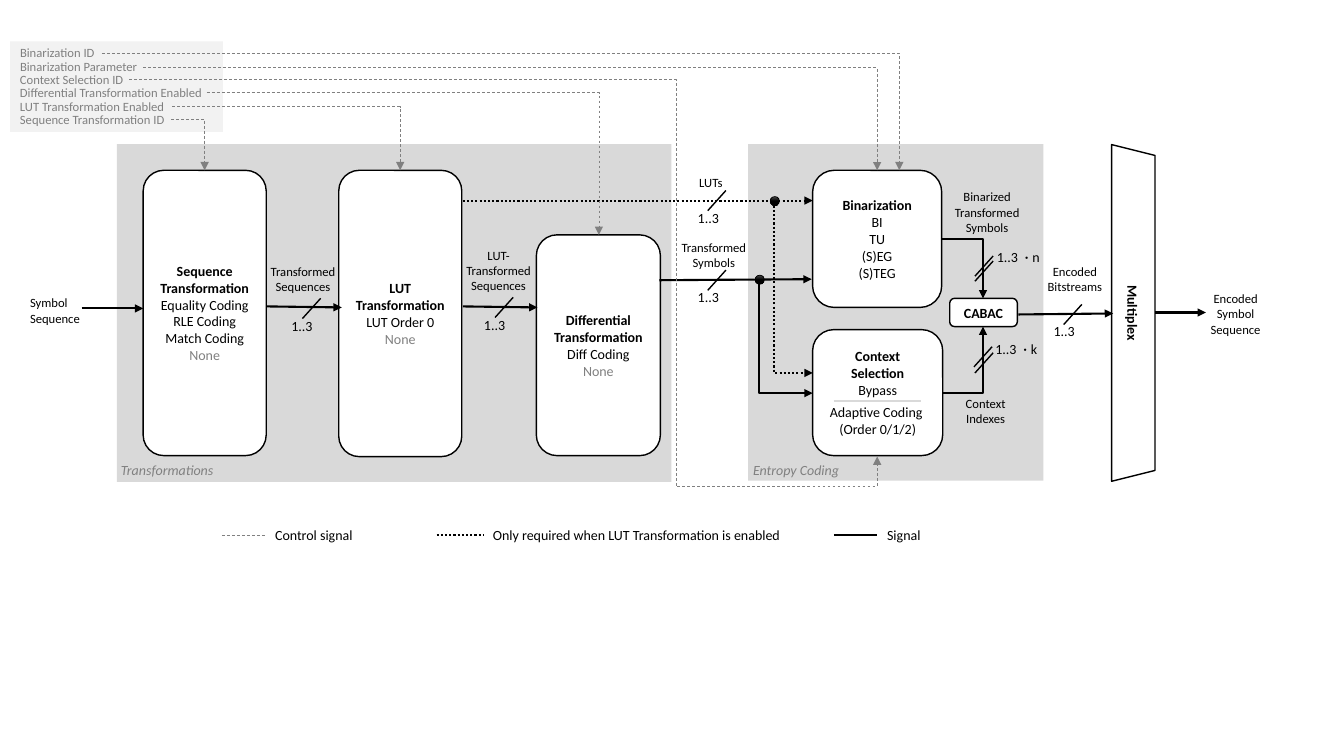
from pptx import Presentation
from pptx.dml.color import RGBColor
from pptx.enum.dml import MSO_LINE
from pptx.enum.shapes import MSO_CONNECTOR, MSO_SHAPE
from pptx.enum.text import MSO_ANCHOR, PP_ALIGN
from pptx.oxml.ns import qn
from pptx.util import Inches, Pt
from lxml import etree

RECT, ROUND = MSO_SHAPE.RECTANGLE, MSO_SHAPE.ROUNDED_RECTANGLE
TRAP, OVAL = MSO_SHAPE.TRAPEZOID, MSO_SHAPE.OVAL
LINE, ELBOW = MSO_CONNECTOR.STRAIGHT, MSO_CONNECTOR.ELBOW
DASH, DOTS = MSO_LINE.DASH, MSO_LINE.ROUND_DOT
LEFT, MID = PP_ALIGN.LEFT, PP_ALIGN.CENTER
MIDDLE, TOP = MSO_ANCHOR.MIDDLE, MSO_ANCHOR.TOP

THEME = {
    "font": "Calibri", "ink": "000000", "mute": "808080", "white": "FFFFFF",
    "zone": "D9D9D9", "pale": "F2F2F2", "shine": "4B4B4B",
    "body": 10, "small": 9, "tiny": 8,
}
# Wire styles: colour, width, dash, arrow
STYLES = {
    "signal": ("ink", 1.5, None, True),
    "lut": ("ink", 1.5, DOTS, True),
    "control": ("mute", 0.5, DASH, True),
    "slash": ("ink", 1, None, False),
    "rule": ("zone", 1, None, False),
}
TIMES = "\u30fb"

# Zones: box, colour
ZONES = [
    ((0.1, 0.41, 2.11, 0.9), "pale"),
    ((1.16, 1.43, 5.5, 3.35), "zone"),
    ((7.42, 1.43, 2.93, 3.34), "zone"),
]
# Blocks: box, bold lines, plain lines
BLOCKS = [
    ((1.42, 1.69, 1.22, 2.83), ["Sequence", "Transformation"],
     ["Equality Coding", "RLE Coding", "Match Coding", "None"]),
    ((3.36, 1.69, 1.22, 2.84), ["LUT", "Transformation"],
     ["LUT Order 0", "None"]),
    ((5.32, 2.33, 1.23, 2.19), ["Differential", "Transformation"],
     ["Diff Coding", "None"]),
    ((8.06, 1.69, 1.28, 1.36), ["Binarization"],
     ["BI", "TU", "(S)EG", "(S)TEG"]),
    ((8.06, 3.27, 1.29, 1.25), ["Context", "Selection"],
     ["Bypass", "Adaptive Coding\u00a0", "(Order 0/1/2)"]),
    ((9.42, 2.96, 0.67, 0.28), ["CABAC"], []),
]
MUX = (9.57, 2.89, 3.34, 0.43)
# Centred labels: left, top, width, text
LABELS = [
    (2.58, 2.57, 0.85, "Transformed\nSequences"),
    (4.51, 2.41, 0.87, "LUT-\nTransformed\nSequences"),
    (6.61, 2.33, 0.94, "Transformed\nSymbols"),
    (6.71, 1.69, 0.68, "LUTs"),
    (9.27, 1.83, 1.04, "Binarized\nTransformed\nSymbols"),
    (9.38, 3.88, 0.79, "Context\nIndexes"),
    (10.25, 2.57, 0.82, "Encoded\nBitstreams"),
    (11.89, 2.84, 0.73, "Encoded\nSymbol\nSequence"),
]
COUNTS = [
    (2.75, 3.1, 0.49, "1..3"), (4.66, 3.09, 0.49, "1..3"),
    (6.78, 2.03, 0.49, "1..3"), (6.78, 2.81, 0.49, "1..3"),
    (10.31, 3.15, 0.49, "1..3"),
    (9.75, 2.42, 0.7, f"1..3 {TIMES}n"), (9.73, 3.33, 0.7, f"1..3 {TIMES}k"),
]
# Control inputs, one row each: text, width
INPUTS = [
    ("Binarization ID", 1.09), ("Binarization Parameter", 1.51),
    ("Context Selection ID", 1.43),
    ("Differential Transformation Enabled", 2.03),
    ("LUT Transformation Enabled", 1.87),
    ("Sequence Transformation ID", 1.87),
]
NAMES = [(1.1, 4.53, 1.15, "Transformations"),
         (7.37, 4.53, 1.29, "Entropy Coding")]
# Legend: line start, line end, style, text width, text
LEGEND = [
    (2.2, 2.63, "control", 0.98, "Control signal"),
    (4.33, 4.79, "lut", 3.1, "Only required when LUT Transformation is enabled"),
    (8.27, 8.7, "signal", 0.81, "Signal"),
]
# Wires: start, end, style, bend
WIRES = [
    ((0.81, 3.06), (1.42, 3.06), "signal", None),
    ((2.65, 3.04), (3.39, 3.05), "signal", None),
    ((4.59, 3.04), (5.33, 3.05), "signal", None),
    ((6.54, 2.78), (8.05, 2.77), "signal", None),
    ((10.1, 3.12), (11.04, 3.11), "signal", None),
    ((11.46, 3.1), (11.96, 3.1), "signal", None),
    ((4.59, 1.99), (8.06, 1.99), "lut", None),
    ((7.53, 2.81), (8.06, 3.9), "signal", "down"),
    ((7.68, 2.04), (8.06, 3.7), "lut", "down"),
    ((9.34, 2.37), (9.75, 2.96), "signal", "across"),
    ((9.35, 3.9), (9.75, 3.24), "signal", "across"),
    ((1.01, 0.53), (8.92, 1.69), "control", "across"),
    ((1.42, 0.67), (8.7, 1.69), "control", "across"),
    ((1.28, 0.79), (8.7, 4.53), "control", "loop"),
    ((2.05, 0.92), (5.94, 2.33), "control", "across"),
    ((1.71, 1.06), (3.97, 1.69), "control", "across"),
    ((1.7, 1.18), (2.03, 1.69), "control", "across"),
    ((8.27, 3.98), (9.13, 3.98), "rule", None),
]
LOOP = {"adj1": 73100, "adj2": 107900}
# Lower left ends of the slashes
TICKS = [(3, 3.16), (4.91, 3.15), (7.02, 2.09), (7.02, 2.88), (10.55, 3.22),
         (9.67, 2.74), (9.67, 2.79), (9.66, 3.64), (9.67, 3.7)]
DOT = 0.09
NODES = [(7.49, 2.73), (7.64, 1.95)]


def tint(name):
    """Return a theme colour."""
    return RGBColor.from_string(THEME[name])


def write(frame, lines, size="body", color="ink", heads=0, italic=False,
          align=MID, anchor=TOP, wrap=True):
    """Fill a frame, one paragraph a line; the first heads are bold."""
    frame.word_wrap, frame.vertical_anchor = wrap, anchor
    for i, line in enumerate(lines):
        para = frame.paragraphs[0] if i == 0 else frame.add_paragraph()
        para.alignment = align
        if line.startswith("Adaptive"):
            para.space_before = Pt(4)
        for part in filter(None, line.partition(TIMES)):
            run = para.add_run()
            run.text = part
            font = run.font
            font.name = THEME["font"]
            font.size = Pt(THEME["tiny" if part == TIMES else size])
            font.bold, font.italic = i < heads, italic
            font.color.rgb = tint("mute" if part == "None" else color)


def label(x, y, w, text, **form):
    """Add a text box as high as its lines."""
    lines = text.split("\n")
    high = 0.1 + len(lines) * THEME[form.get("size", "body")] * 1.22 / 72
    box = slide.shapes.add_textbox(*map(Inches, (x, y, w, high)))
    write(box.text_frame, lines, **form)


def block(kind, box, fill, edge=None):
    """Add a shape with a plain fill and, if edge is set, a black line."""
    shape = slide.shapes.add_shape(kind, *map(Inches, box))
    shape.shadow.inherit = False
    shape.fill.solid()
    shape.fill.fore_color.rgb = tint(fill)
    if edge:
        shape.line.color.rgb, shape.line.width = tint("ink"), Pt(edge)
    else:
        shape.line.fill.background()
    return shape


def wire(start, end, style, bend=None, arrow=None):
    """Add a straight or bent line in one of the styles."""
    color, width, dash, tip = STYLES[style]
    (x1, y1), (x2, y2) = start, end
    if bend == "down":  # a quarter turn about the centre
        cx, cy, dx, dy = (x1 + x2) / 2, (y1 + y2) / 2, x2 - x1, y2 - y1
        x1, y1, x2, y2 = cx + dy / 2, cy - dx / 2, cx - dy / 2, cy + dx / 2
    line = slide.shapes.add_connector(
        ELBOW if bend else LINE, *map(Inches, (x1, y1, x2, y2)))
    line.line.color.rgb, line.line.width = tint(color), Pt(width)
    if dash:
        line.line.dash_style = dash
    props = line._element.spPr
    if bend:
        geom = props.find(qn("a:prstGeom"))
        geom.set("prst", "bentConnector4" if bend == "loop" else "bentConnector2")
    if bend == "down":
        props.find(qn("a:xfrm")).set("rot", "16200000")
    if bend == "loop":
        for name, value in LOOP.items():
            etree.SubElement(geom.find(qn("a:avLst")), qn("a:gd"),
                             name=name, fmla=f"val {value}")
    if tip if arrow is None else arrow:
        etree.SubElement(props.find(qn("a:ln")), qn("a:tailEnd"), type="triangle")
    etree.SubElement(props, qn("a:effectLst"))


deck = Presentation()
deck.slide_width, deck.slide_height = Inches(13.33), Inches(7.5)
slide = deck.slides.add_slide(deck.slide_layouts[6])

for box, fill in ZONES:
    block(RECT, box, fill)
mux = block(TRAP, MUX, "white", edge=1)
mux.rotation = 90
write(mux.text_frame, ["Multiplex"], heads=1, anchor=MIDDLE)
for box, heads, plain in BLOCKS:
    write(block(ROUND, box, "white", edge=1).text_frame, heads + plain,
          heads=len(heads), anchor=MIDDLE)

for start, end, style, bend in WIRES:
    wire(start, end, style, bend)
for x, y in TICKS:
    wire((x, y), (x + 0.18, y - 0.2), "slash")
for x, y in NODES:
    node = block(OVAL, (x, y, DOT, DOT), "ink", edge=0.5)
    node.fill.gradient()
    node.fill.gradient_angle = 270
    for stop, (color, place) in zip(node.fill.gradient_stops,
                                    [("shine", 0), ("ink", 0.5)]):
        stop.color.rgb, stop.position = tint(color), place

for item in LABELS:
    label(*item, size="small", wrap=False)
for item in COUNTS:
    label(*item, wrap=False)
for row, (text, w) in enumerate(INPUTS):
    label(0.1, 0.4 + 0.132 * row, w, text, size="small", color="mute", align=LEFT)
label(0.2, 2.88, 0.74, "Symbol\nSequence", size="small", align=LEFT)
for item in NAMES:
    label(*item, color="mute", italic=True, align=LEFT)
for x1, x2, style, w, text in LEGEND:
    wire((x1, 5.31), (x2, 5.31), style, arrow=False)
    label(x2, 5.17, w, text, align=LEFT)

deck.save("out.pptx")
